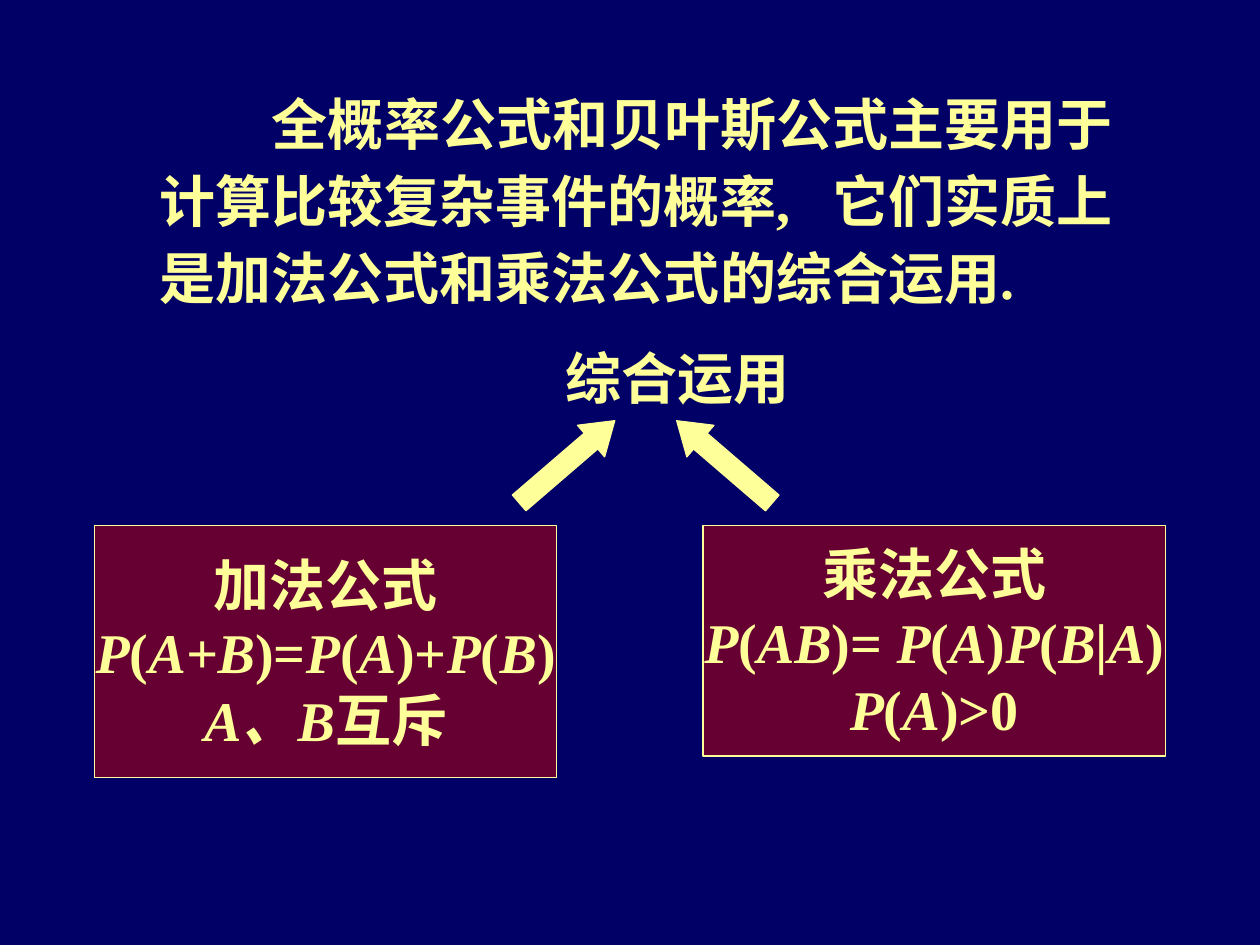
from pptx import Presentation
from pptx.dml.color import RGBColor
from pptx.enum.shapes import MSO_SHAPE as Shape
from pptx.enum.text import MSO_ANCHOR as Anchor, MSO_AUTO_SIZE as AutoSize, PP_ALIGN as Align
from pptx.util import Inches, Pt

NAVY = RGBColor(0x00, 0x00, 0x66)
MAROON = RGBColor(0x66, 0x00, 0x33)
CREAM = RGBColor(0xFF, 0xFF, 0x99)

FONT = {"name": "Times New Roman", "size": Pt(32), "bold": True}
CENTERED = {"alignment": Align.CENTER}
BODY = {"alignment": Align.LEFT, "line_spacing": 1.15}
GROWING = {"word_wrap": True, "auto_size": AutoSize.SHAPE_TO_FIT_TEXT}
FIXED = {"word_wrap": False, "vertical_anchor": Anchor.MIDDLE}

CARDS = [
    (0.75, 2, ["加法公式", "*P*(*A+B*)=*P*(*A*)+*P*(*B*)", "*A、B*互斥"]),
    (5.58, 1.83, ["乘法公式", "*P*(*AB*)= *P*(*A*)*P*(*B*|*A*)", "*P*(*A*)>0"]),
]
ARROWS = [(4, 319.3), (5.25, 220.7)]


def apply_format(target, values):
    for name, value in values.items():
        setattr(target, name, value)


def add_span(para, text, italic=False):
    span = para.add_run()
    span.text = text
    apply_format(span.font, {**FONT, "italic": italic})
    span.font.color.rgb = CREAM
    return span


def write_lines(frame, lines, para_format):
    for index, line in enumerate(lines):
        para = frame.add_paragraph() if index else frame.paragraphs[0]
        apply_format(para, para_format)
        for position, part in enumerate(line.split("*")):
            if part:
                add_span(para, part, italic=position % 2 == 1)


def add_text(page, place, lines, para_format, frame_format):
    box = page.shapes.add_textbox(*map(Inches, place))
    apply_format(box.text_frame, frame_format)
    write_lines(box.text_frame, lines, para_format)
    return box


def add_filled(page, kind, place, color):
    shape = page.shapes.add_shape(kind, *map(Inches, place))
    shape.shadow.inherit = False
    shape.fill.solid()
    shape.fill.fore_color.rgb = color
    shape.line.color.rgb = CREAM
    shape.line.width = Pt(0.75)
    return shape


def add_summary(page):
    box = add_text(page, (1.17, 0.58, 8.08, 1.94),
                   ["全概率公式和贝叶斯公式主要用于计算比较复杂事件的概率,"], BODY, GROWING)
    para = box.text_frame.paragraphs[0]
    para._p.get_or_add_pPr().set("indent", str(Inches(0.89)))
    gap = add_span(para, " ")
    gap._r.get_or_add_rPr().set("spc", "1600")
    add_span(para, "它们实质上是加法公式和乘法公式的综合运用.")


def add_card(page, left, height, lines):
    card = add_filled(page, Shape.RECTANGLE, (left, 4.17, 3.67, height), MAROON)
    apply_format(card.text_frame, FIXED)
    write_lines(card.text_frame, lines, CENTERED)


def add_arrow(page, left, rotation):
    arrow = add_filled(page, Shape.RIGHT_ARROW, (left, 3.5, 1, 0.33), CREAM)
    arrow.adjustments[0] = 0.5
    arrow.adjustments[1] = 0.75
    arrow.rotation = rotation


def main():
    deck = Presentation()
    deck.slide_width, deck.slide_height = Inches(10), Inches(7.5)
    page = deck.slides.add_slide(deck.slide_layouts[6])
    page.background.fill.solid()
    page.background.fill.fore_color.rgb = NAVY

    add_summary(page)
    add_text(page, (4, 2.67, 2.75, 0.64), ["综合运用"], CENTERED,
             {**GROWING, "vertical_anchor": Anchor.MIDDLE})
    for left, height, lines in CARDS:
        add_card(page, left, height, lines)
    for left, rotation in ARROWS:
        add_arrow(page, left, rotation)
    deck.save("out.pptx")


if __name__ == "__main__":
    main()
